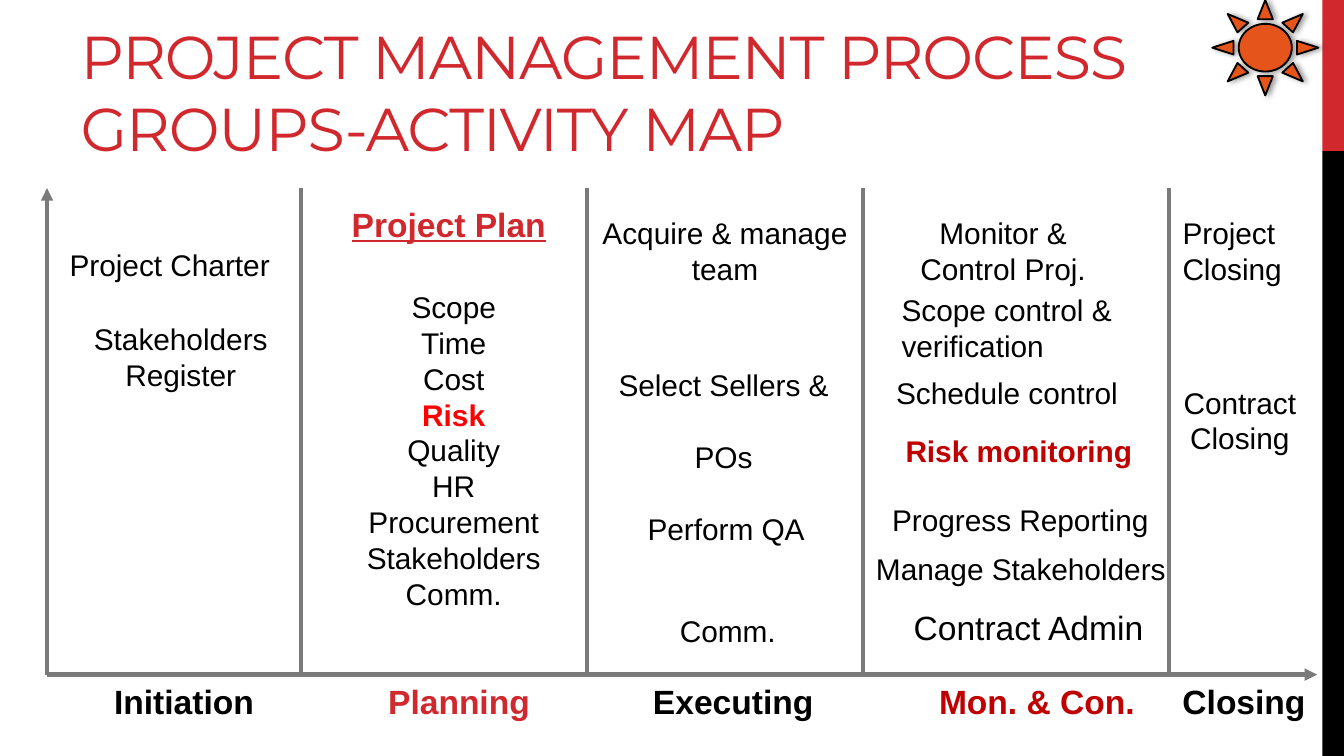
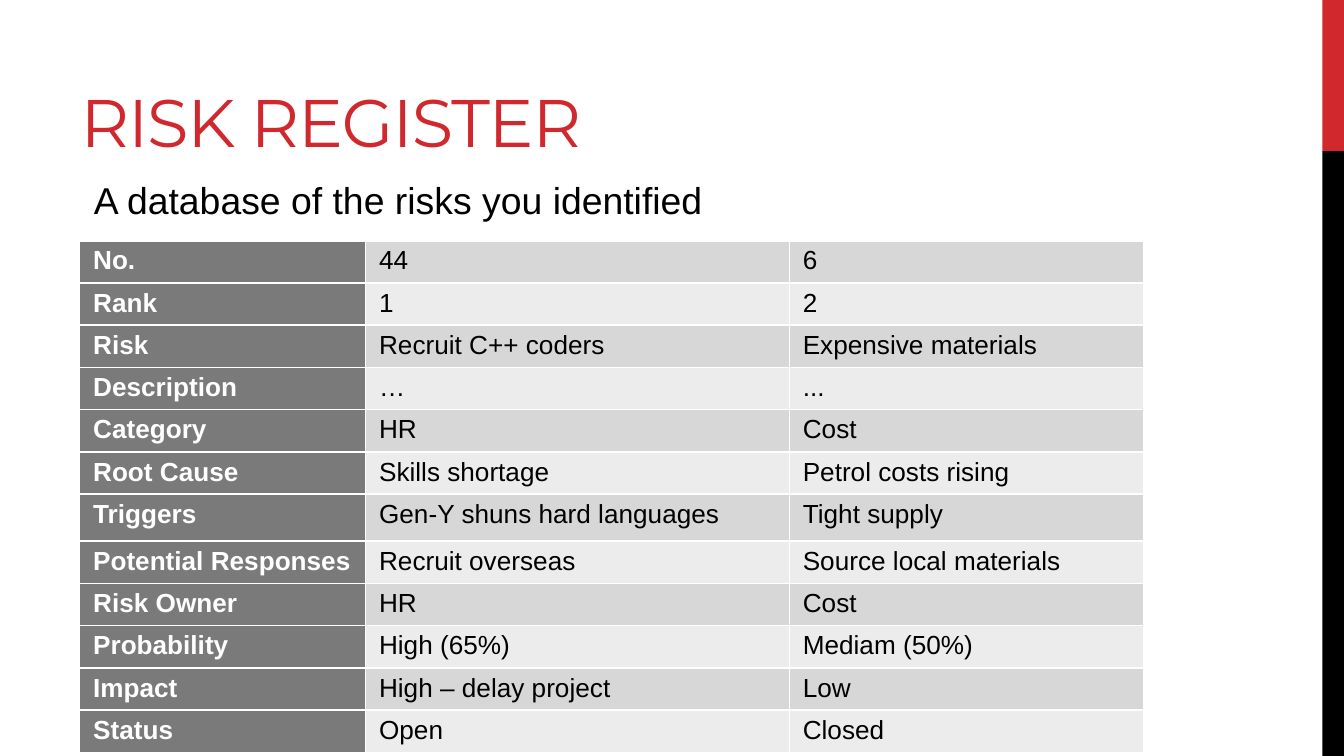
from dataclasses import dataclass

from lxml.etree import SubElement
from pptx import Presentation
from pptx.dml.color import RGBColor
from pptx.enum.shapes import MSO_CONNECTOR, MSO_SHAPE
from pptx.enum.text import MSO_ANCHOR, MSO_AUTO_SIZE, PP_ALIGN
from pptx.oxml.ns import qn
from pptx.util import Pt

RED = RGBColor(0xD1, 0x28, 0x2E)
DARK_RED = RGBColor(0xC0, 0x00, 0x00)
BRIGHT_RED = RGBColor(0xFF, 0x00, 0x00)
ORANGE = RGBColor(0xE5, 0x55, 0x1B)
BLACK = RGBColor(0x00, 0x00, 0x00)
WHITE = RGBColor(0xFF, 0xFF, 0xFF)
GRAY = RGBColor(0x7A, 0x7A, 0x7A)
BAND_DARK = RGBColor(0xD7, 0xD7, 0xD7)
BAND_LIGHT = RGBColor(0xEC, 0xEC, 0xEC)

TITLE_FONT = "Montserrat"
BODY_FONT = "Arial"
TITLE_ONLY = 5


@dataclass
class Box:
    """A rectangle in points."""
    left: float
    top: float
    width: float
    height: float

    def lengths(self):
        """Return the four sides as lengths."""
        return [Pt(value) for value in (self.left, self.top, self.width, self.height)]


@dataclass
class Note:
    """A text placed relative to the top left of its phase column."""
    lines: tuple
    left: float
    top: float
    width: float
    size: float = 16
    color: RGBColor = BLACK
    bold: bool = False
    underline: bool = False
    centered: bool = False
    gap: float = 0
    highlight: str = ""


@dataclass
class Phase:
    """One column of the activity map."""
    left: float
    label: Note
    notes: list


LABEL_TOP = 260.6
PHASES = [
    Phase(0, Note(("Initiation",), 28.8, LABEL_TOP, 90, 18, bold=True), [
        Note(("Project Charter",), 5, 28, 123),
        Note(("Stakeholders", "Register"), 17.3, 67.7, 108.7, centered=True),
    ]),
    Phase(136.1, Note(("Planning",), 39.6, LABEL_TOP, 91.4, 18, RED, True), [
        Note(("Project Plan",), 19.4, 5, 119.5, 18, RED, True, True, True),
        Note(("Scope", "Time", "Cost", "Risk", "Quality", "HR", "Procurement",
              "Stakeholders", "Comm."), 27.4, 50.4, 108.7, centered=True, highlight="Risk"),
    ]),
    Phase(289.4, Note(("Executing",), 28.1, LABEL_TOP, 101.5, 18, bold=True), [
        Note(("Acquire & manage", "team"), 0, 10.8, 147.6, centered=True),
        Note(("Select Sellers &", "POs"), 8.6, 92.2, 128.9, centered=True, gap=19.2),
        Note(("Perform QA",), 25.2, 169.2, 99.4),
        Note(("Comm.",), 42.5, 223.9, 66.2),
    ]),
    Phase(437, Note(("Mon. & Con.",), 33.8, LABEL_TOP, 120.2, 18, DARK_RED, True), [
        Note(("Monitor &", "Control Proj."), 23, 10.8, 104.4, centered=True),
        Note(("Scope control &", "verification"), 13.7, 51.8, 129.6),
        Note(("Schedule control",), 10.8, 96.5, 134.6),
        Note(("Risk monitoring",), 15.8, 127.4, 137.5, color=DARK_RED, bold=True),
        Note(("Progress Reporting",), 8.6, 164.2, 154.1),
        Note(("Manage Stakeholders",), 0, 190.8, 171.4),
        Note(("Contract Admin",), 20.2, 221, 139, 18),
    ]),
    Phase(601.2, Note(("Closing",), 0, LABEL_TOP, 81.4, 18, bold=True), [
        Note(("Project", "Closing"), 0, 10.8, 68.4),
        Note(("Contract", "Closing"), 0, 101.5, 75.6, centered=True),
    ]),
]

REGISTER_ROWS = [
    ("No.", "44", "6"),
    ("Rank", "1", "2"),
    ("Risk", "Recruit C++ coders", "Expensive materials"),
    ("Description", "…", "..."),
    ("Category", "HR", "Cost"),
    ("Root Cause", "Skills shortage", "Petrol costs rising"),
    ("Triggers", "Gen-Y shuns hard languages", "Tight supply"),
    ("Potential Responses", "Recruit overseas", "Source local materials"),
    ("Risk Owner", "HR", "Cost"),
    ("Probability", "High (65%)", "Mediam (50%)"),
    ("Impact", "High – delay project", "Low"),
    ("Status", "Open", "Closed"),
]
REGISTER_WIDTHS = (153.2, 227, 190)
ROW_HEIGHT = 21.6
TALL_ROWS = {"Triggers": 25.2}


def set_font(font, size, color, bold=False, name=BODY_FONT):
    """Apply the face, size, colour and weight of a font."""
    font.name = name
    font.size = Pt(size)
    font.color.rgb = color
    font.bold = bold


def add_band(page, box, color):
    """Add one plain colour band."""
    band = page.shapes.add_shape(MSO_SHAPE.RECTANGLE, *box.lengths())
    band.shadow.inherit = False
    band.fill.solid()
    band.fill.fore_color.rgb = color
    band.line.fill.background()


def add_page(deck, title_text, title_box, title_size):
    """Add a page with the side bands and a formatted title."""
    page = deck.slides.add_slide(deck.slide_layouts[TITLE_ONLY])
    add_band(page, Box(708.5, 0, 11.5, 81), RED)
    add_band(page, Box(708.5, 81, 11.5, 324), BLACK)
    title = page.shapes.title
    title.left, title.top, title.width, title.height = title_box.lengths()
    frame = title.text_frame
    frame.text = title_text
    frame.auto_size = MSO_AUTO_SIZE.NONE
    frame.word_wrap = True
    frame.vertical_anchor = MSO_ANCHOR.BOTTOM
    para = frame.paragraphs[0]
    para.alignment = PP_ALIGN.LEFT
    set_font(para.font, title_size, RED, name=TITLE_FONT)
    para.runs[0]._r.get_or_add_rPr().set("spc", "-60")
    return page


def add_line(page, start, end, arrow=False):
    """Draw a gray line between two points."""
    line = page.shapes.add_connector(
        MSO_CONNECTOR.STRAIGHT, *[Pt(value) for value in (*start, *end)])
    line.line.color.rgb = GRAY
    line.line.width = Pt(2.25)
    if arrow:
        SubElement(line.line._get_or_add_ln(), qn("a:tailEnd"), type="triangle")
    SubElement(line._element.spPr, qn("a:effectLst"))


def add_note(page, note, left, top):
    """Write a note relative to a column's top left corner."""
    height = 7.2 + len(note.lines) * note.size * 1.15
    box = Box(left + note.left, top + note.top, note.width, height)
    frame = page.shapes.add_textbox(*box.lengths()).text_frame
    frame.word_wrap = False
    frame.auto_size = MSO_AUTO_SIZE.SHAPE_TO_FIT_TEXT
    frame.text = "\n".join(note.lines)
    for index, para in enumerate(frame.paragraphs):
        para.alignment = PP_ALIGN.CENTER if note.centered else PP_ALIGN.LEFT
        if index and note.gap:
            para.space_before = Pt(note.gap)
        marked = para.text == note.highlight
        set_font(para.font, note.size, BRIGHT_RED if marked else note.color,
                 note.bold or marked)
        if note.underline:
            para.font.underline = True


def add_activity_map(page, box):
    """Draw the axes, the column lines and the notes of every phase."""
    bottom = box.top + box.height
    origin = (box.left, bottom)
    add_line(page, origin, (box.left + box.width, bottom), arrow=True)
    add_line(page, origin, (box.left, box.top), arrow=True)
    for phase in PHASES[1:]:
        left = box.left + phase.left
        add_line(page, (left, box.top), (left, bottom))
    for phase in PHASES:
        for note in [phase.label, *phase.notes]:
            add_note(page, note, box.left + phase.left, box.top)


def add_sun(page, box):
    """Add the orange sun with a soft shadow."""
    sun = page.shapes.add_shape(MSO_SHAPE.SUN, *box.lengths())
    sun.fill.solid()
    sun.fill.fore_color.rgb = ORANGE
    sun.line.color.rgb = BLACK
    sun.line.width = Pt(1)
    sun.shadow.inherit = False
    effects = sun._element.spPr.find(qn("a:effectLst"))
    shadow = SubElement(effects, qn("a:outerShdw"), blurRad=str(Pt(3.1)),
                        dist=str(Pt(1.8)), dir="0", rotWithShape="0")
    color = SubElement(shadow, qn("a:srgbClr"), val=str(BLACK))
    SubElement(color, qn("a:alpha"), val="40000")


def add_lead(page, box, text):
    """Write the sentence that introduces the table."""
    frame = page.shapes.add_textbox(*box.lengths()).text_frame
    frame.word_wrap = True
    frame.text = text
    para = frame.paragraphs[0]
    para.space_before = Pt(4)
    para.space_after = Pt(6)
    set_font(para.font, 20, BLACK)


def format_cell(cell, text, fill, color, bold):
    """Fill one cell with its text, white borders and colour."""
    cell.text = text
    cell.margin_left = cell.margin_right = Pt(7.2)
    cell.margin_top = cell.margin_bottom = Pt(2.9)
    set_font(cell.text_frame.paragraphs[0].font, 14, color, bold)
    properties = cell._tc.get_or_add_tcPr()
    for side in ("a:lnL", "a:lnR", "a:lnT", "a:lnB"):
        border = SubElement(properties, qn(side), w=str(Pt(1)))
        paint = SubElement(border, qn("a:solidFill"))
        SubElement(paint, qn("a:srgbClr"), val=str(WHITE))
    cell.fill.solid()
    cell.fill.fore_color.rgb = fill


def add_register(page, box):
    """Build the risk register table."""
    table = page.shapes.add_table(
        len(REGISTER_ROWS), len(REGISTER_WIDTHS), *box.lengths()).table
    table.first_row = table.horz_banding = False
    table.first_col = True
    for column, width in zip(table.columns, REGISTER_WIDTHS):
        column.width = Pt(width)
    for row_index, values in enumerate(REGISTER_ROWS):
        table.rows[row_index].height = Pt(TALL_ROWS.get(values[0], ROW_HEIGHT))
        band = BAND_LIGHT if row_index % 2 else BAND_DARK
        for column_index, text in enumerate(values):
            header = column_index == 0
            format_cell(table.cell(row_index, column_index), text,
                        GRAY if header else band, WHITE if header else BLACK, header)


def main():
    """Build both pages and save the deck."""
    deck = Presentation()
    deck.slide_width, deck.slide_height = Pt(720), Pt(405)

    page = add_page(deck, "PROJECT MANAGEMENT PROCESS GROUPS-ACTIVITY MAP",
                    Box(36, 10.8, 658.8, 80.6), 32.4)
    add_activity_map(page, Box(25.2, 100.8, 680.4, 260.6))
    add_sun(page, Box(649.4, 0, 56.9, 51.1))

    page = add_page(deck, "RISK REGISTER", Box(36, 9.4, 455.8, 80.6), 36)
    add_lead(page, Box(43.2, 91.4, 599.8, 258.5), "A database of the risks you identified")
    add_register(page, Box(42.7, 129, 570.2, 262.8))

    deck.save("out.pptx")


if __name__ == "__main__":
    main()
